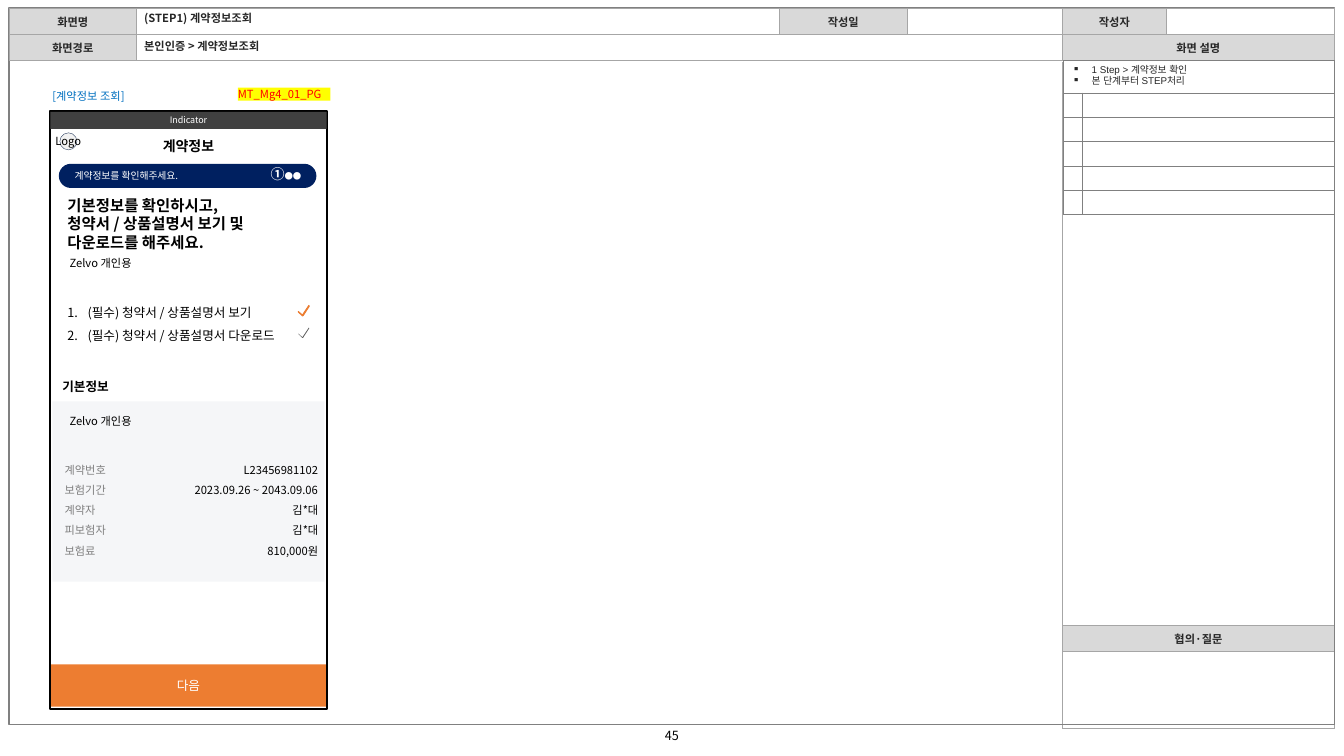
import pptx
import pptx.util
import pptx.dml.color
import pptx.enum.shapes
import pptx.enum.text
import pptx.oxml.ns
import lxml.etree

Pt = pptx.util.Pt
ALIGN = pptx.enum.text.PP_ALIGN
ANCHOR = pptx.enum.text.MSO_ANCHOR
FIT = pptx.enum.text.MSO_AUTO_SIZE
SHAPE = pptx.enum.shapes.MSO_SHAPE
FONT = "Noto Sans CJK KR"
COLORS = {
    "white": "FFFFFF", "black": "000000", "ink": "262626", "header": "D9D9D9",
    "grid": "A6A6A6", "gray": "808080", "navy": "002060", "panel": "F5F6F8",
    "blue": "0070C0", "orange": "ED7D31", "indicator": "404040", "logo": "F2F2F2",
    "logo_line": "1E3256", "yellow": "FFFF00", "red": "FF0000", "tick": "5F5F5F",
}
TICK = [(7.5, 0), (2.9, 6.9), (0, 4.3), (0, 4.6), (2.9, 7.4), (3.4, 7.3), (7.8, 0.5)]
PRODUCT = "Zelvo 개인용"


def rgb(name):
    return pptx.dml.color.RGBColor.from_string(COLORS[name])


def add_element(parent, tag, **attributes):
    return lxml.etree.SubElement(parent, pptx.oxml.ns.qn(tag), **attributes)


def set_bullet(para, tag, indent=0, **attributes):
    properties = para._p.get_or_add_pPr()
    properties.set("marL", str(Pt(indent[0]) if indent else 0))
    properties.set("indent", str(Pt(indent[1]) if indent else 0))
    add_element(properties, tag, **attributes)


def write_text(frame, lines, size, color, bold=False, align=ALIGN.LEFT,
               spacing=None, font=FONT):
    for index, line in enumerate(lines):
        para = frame.paragraphs[0] if index == 0 else frame.add_paragraph()
        para.alignment = align
        if spacing:
            para.line_spacing = spacing
        for text, run_size in [(line, size)] if isinstance(line, str) else line:
            span = para.add_run()
            span.text = text
            span.font.size = Pt(run_size)
            span.font.bold = bold
            span.font.color.rgb = rgb(color)
            span.font.name = font
            add_element(span._r.get_or_add_rPr(), "a:ea", typeface=font)


def set_margins(target, left, top):
    target.margin_left = target.margin_right = Pt(left)
    target.margin_top = target.margin_bottom = Pt(top)


def add_label(page, area, lines, size, color, wrap=False, anchor=ANCHOR.TOP, **style):
    box = page.shapes.add_textbox(*map(Pt, area))
    frame = box.text_frame
    set_margins(frame, 0, 0)
    frame.word_wrap = wrap
    frame.auto_size = FIT.SHAPE_TO_FIT_TEXT
    frame.vertical_anchor = anchor
    write_text(frame, lines, size, color, **style)
    return box


def add_block(page, kind, area, fill=None, line=None, width=1):
    block = page.shapes.add_shape(kind, *map(Pt, area))
    paint(block, fill, line, width)
    block.text_frame.vertical_anchor = ANCHOR.MIDDLE
    return block


def paint(block, fill, line, width):
    block.shadow.inherit = False
    if fill:
        block.fill.solid()
        block.fill.fore_color.rgb = rgb(fill)
    else:
        block.fill.background()
    if line:
        block.line.color.rgb = rgb(line)
        block.line.width = Pt(width)
    else:
        block.line.fill.background()


def add_tick(page, left, top, line=None):
    points = [(Pt(left + x), Pt(top + y)) for x, y in TICK]
    builder = page.shapes.build_freeform(*points[0])
    builder.add_line_segments(points[1:], close=True)
    paint(builder.convert_to_shape(), "tick", line, 0.75)


def format_cell(cell, line, width):
    cell.vertical_anchor = ANCHOR.MIDDLE
    set_margins(cell, 0, 0)
    properties = cell._tc.get_or_add_tcPr()
    for edge in ("a:lnL", "a:lnR", "a:lnT", "a:lnB"):
        border = add_element(properties, edge, w=str(Pt(width)))
        paint_fill = add_element(border, "a:solidFill")
        add_element(paint_fill, "a:srgbClr", val=COLORS[line])
    cell.fill.solid()
    cell.fill.fore_color.rgb = rgb("white")
    add_element(cell.text_frame.paragraphs[0]._p, "a:endParaRPr", sz="700")


def add_grid(page, left, top, columns, rows, line, width):
    holder = page.shapes.add_table(len(rows), len(columns), Pt(left), Pt(top),
                                   Pt(sum(columns)), Pt(sum(rows)))
    table = holder.table
    table.first_row = table.horz_banding = False
    for column, size in zip(table.columns, columns):
        column.width = Pt(size)
    for row, size in zip(table.rows, rows):
        row.height = Pt(size)
    for cell in table.iter_cells():
        format_cell(cell, line, width)
    return table


def fill_heading(cell, text):
    cell.fill.fore_color.rgb = rgb("header")
    write_text(cell.text_frame, [text], 8, "ink", bold=True, align=ALIGN.CENTER)


def place_heading(page, box, area, text):
    page.shapes._spTree.append(box._element)
    box.left, box.top, box.width, box.height = map(Pt, area)
    frame = box.text_frame
    set_margins(frame, 2.9, 2.9)
    frame.word_wrap = True
    frame.auto_size = FIT.NONE
    frame.vertical_anchor = ANCHOR.MIDDLE
    write_text(frame, [text], 8, "ink", bold=True, spacing=0.8)
    frame.paragraphs[0].space_before = Pt(0)
    set_bullet(frame.paragraphs[0], "a:buNone")


def add_page_frame(page):
    add_label(page, (468, 519.8, 23.8, 10.8), ["45"], 9, "black", wrap=True, align=ALIGN.CENTER)
    side = add_grid(page, 758.9, 44.6, [194.4], [402.1, 18.7, 54.7], "grid", 0.75)
    fill_heading(side.cell(1, 0), "협의·질문")
    add_block(page, SHAPE.RECTANGLE, (6.5, 5.8, 946.8, 511.9), line="gray")
    header = add_grid(page, 6.5, 5.8, [91, 459.4, 91, 111, 74.4, 120], [18.7, 18.7], "grid", 0.75)
    header.cell(1, 1).merge(header.cell(1, 3))
    header.cell(1, 4).merge(header.cell(1, 5))
    for row, column, text in [(0, 0, "화면명"), (0, 2, "작성일"), (0, 4, "작성자"),
                              (1, 0, "화면경로"), (1, 4, "화면 설명")]:
        fill_heading(header.cell(row, column), text)
    title, body = list(page.placeholders)
    place_heading(page, title, (100.1, 7.2, 449.3, 13.7), "(STEP1) 계약정보조회")
    place_heading(page, body, (100.1, 26.6, 651.6, 13.7), "본인인증 > 계약정보조회")


def add_notes_table(page):
    notes = add_grid(page, 759.6, 43.2, [13.7, 180], [23, 17.8] + [17.2] * 4, "gray", 0.25)
    cell = notes.cell(0, 0)
    cell.merge(notes.cell(0, 1))
    set_margins(cell, 0, 2.9)
    cell.vertical_anchor = ANCHOR.TOP
    write_text(cell.text_frame, ["1 Step > 계약정보 확인", "본 단계부터 STEP처리"], 7, "ink", font="Arial")
    for para in cell.text_frame.paragraphs:
        set_bullet(para, "a:buChar", (20.2, -13.7), char="▪")


def add_contract_details(page):
    add_block(page, SHAPE.RECTANGLE, (37.4, 286.6, 194.4, 128.9), "panel")
    add_label(page, (46.1, 326.2, 32.4, 72.7),
              ["계약번호", "보험기간", "계약자", "피보험자", "보험료"], 8, "gray", spacing=1.5)
    add_label(page, (118.8, 326.2, 108.6, 72.7),
              ["L23456981102", "2023.09.26 ~ 2043.09.06", "김*대", "김*대", "810,000원"],
              8, "black", align=ALIGN.RIGHT, spacing=1.5)
    add_label(page, (49.7, 295.9, 148.3, 9.4), [PRODUCT], 8, "black", wrap=True)
    add_label(page, (44.6, 270.7, 36, 10.8), ["기본정보"], 9, "black", bold=True)


def add_phone(page):
    pill = add_block(page, SHAPE.ROUNDED_RECTANGLE, (42, 117, 184, 17.3), "navy")
    pill.adjustments[0] = 0.5
    add_label(page, (53.3, 121, 82, 8.6), ["계약정보를 확인해주세요."], 7, "white")
    add_label(page, (193.3, 118.1, 22.3, 12.2), [[("①", 10), ("●●", 6)]], 10, "white",
              anchor=ANCHOR.MIDDLE, bold=True)
    add_contract_details(page)
    button = add_block(page, SHAPE.RECTANGLE, (36, 474.5, 197.3, 30.2), "orange")
    write_text(button.text_frame, ["다음"], 9, "white", align=ALIGN.CENTER)
    button.text_frame.paragraphs[0].space_after = Pt(2)
    add_block(page, SHAPE.RECTANGLE, (35.5, 79.2, 198, 427), line="black", width=1.5)
    indicator = add_block(page, SHAPE.RECTANGLE, (36, 79.9, 197.3, 12.2), "indicator")
    write_text(indicator.text_frame, ["Indicator"], 6.4, "white", align=ALIGN.CENTER)
    add_label(page, (49.7, 182.9, 149.8, 9.4), [PRODUCT], 8, "black", wrap=True)
    add_label(page, (48.2, 139.7, 142.6, 40.3),
              ["기본정보를 확인하시고,", "청약서 / 상품설명서 보기 및", "다운로드를 해주세요."],
              11, "black", anchor=ANCHOR.MIDDLE, bold=True)
    add_label(page, (114.5, 97.9, 40.3, 12.2), ["계약정보"], 10, "black",
              anchor=ANCHOR.MIDDLE, bold=True, align=ALIGN.CENTER)
    logo = add_block(page, SHAPE.OVAL, (42.8, 94.9, 12.2, 12.2), "logo", "logo_line", 0.25)
    logo.text_frame.word_wrap = False
    write_text(logo.text_frame, ["Logo"], 8, "black", align=ALIGN.CENTER)


def add_documents(page):
    steps = add_label(page, (48.2, 212.4, 166.3, 32.4),
                      ["(필수) 청약서 / 상품설명서 보기", "(필수) 청약서 / 상품설명서 다운로드"],
                      9, "black", spacing=1.5)
    for para in steps.text_frame.paragraphs:
        set_bullet(para, "a:buAutoNum", (14.4, -14.4), type="arabicPeriod")
    add_tick(page, 213.1, 218.2, "orange")
    add_tick(page, 213.1, 234)


def main():
    deck = pptx.Presentation()
    deck.slide_width, deck.slide_height = Pt(960), Pt(540)
    page = deck.slides.add_slide(deck.slide_layouts[1])
    add_page_frame(page)
    add_label(page, (37.4, 64.1, 59, 9.4), ["[계약정보 조회]"], 8, "blue")
    add_phone(page)
    add_notes_table(page)
    code = add_label(page, (169.9, 62.6, 66.2, 9.4), ["MT_Mg4_01_PG"], 8, "red")
    code.fill.solid()
    code.fill.fore_color.rgb = rgb("yellow")
    add_documents(page)
    deck.save("out.pptx")


if __name__ == "__main__":
    main()
